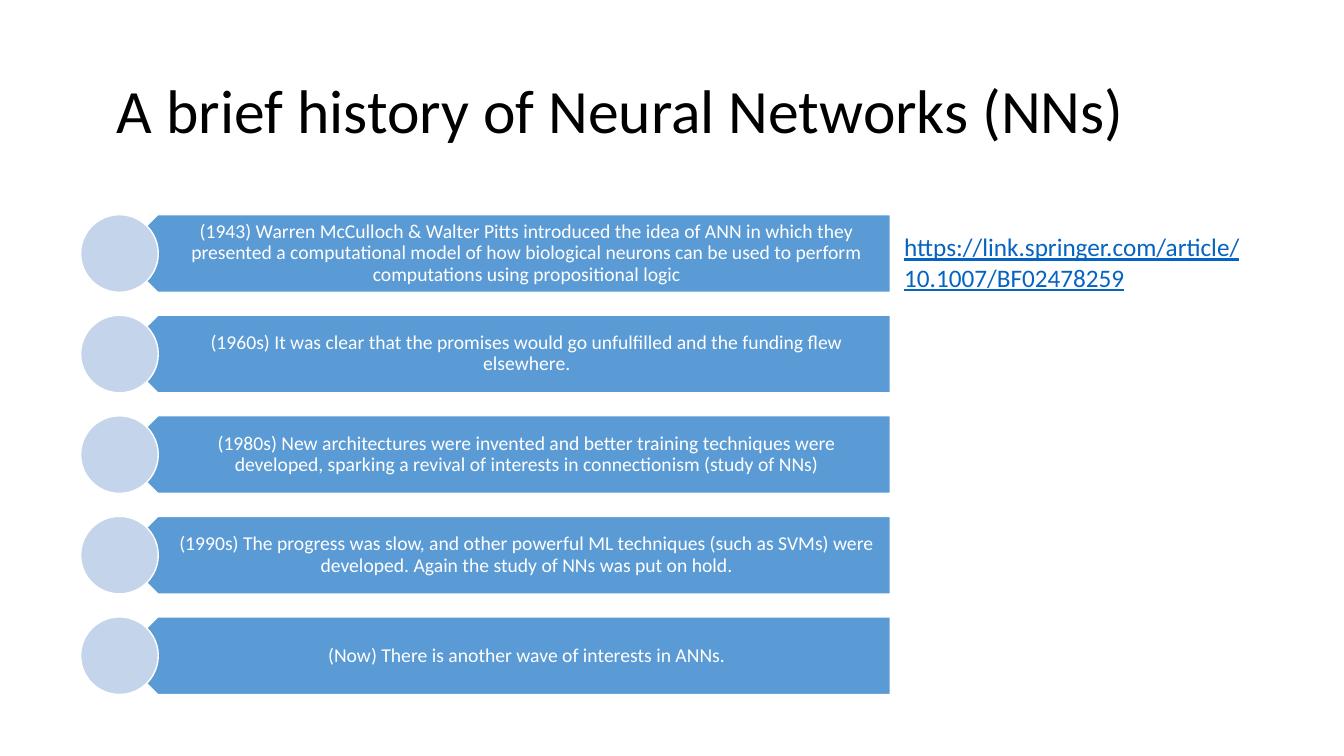
from pptx import Presentation
from pptx.dml.color import RGBColor
from pptx.enum.shapes import MSO_SHAPE
from pptx.enum.text import MSO_ANCHOR, PP_ALIGN
from pptx.util import Inches, Pt

COLORS = {
    "text": "000000",
    "link": "0563C1",
    "bar": "5B9BD5",
    "circle": "C4D5EB",
    "white": "FFFFFF",
}
FONT = "Calibri"

MILESTONES = [
    "(1943) Warren McCulloch & Walter Pitts introduced the idea of ANN in which they "
    "presented a computational model of how biological neurons can be used to perform "
    "computations using propositional logic",
    "(1960s) It was clear that the promises would go unfulfilled and the funding flew "
    "elsewhere.",
    "(1980s) New architectures were invented and better training techniques were "
    "developed, sparking a revival of interests in connectionism (study of NNs)",
    "(1990s) The progress was slow, and other powerful ML techniques (such as SVMs) "
    "were developed. Again the study of NNs was put on hold.",
    "(Now) There is another wave of interests in ANNs.",
]
FIRST_TOP = 2.13
ROW_PITCH = 0.9975
ROW_HEIGHT = 0.77


class SlideBuilder:
    def __init__(self, page):
        self.page = page
        self.shapes = page.shapes

    def start_group(self):
        """Send the following elements into a new group."""
        self.shapes = self.page.shapes.add_group_shape().shapes

    def end_group(self):
        self.shapes = self.page.shapes

    def shape(self, kind, left, top, width, height, color, rotation=0):
        shape = self.shapes.add_shape(
            kind, Inches(left), Inches(top), Inches(width), Inches(height))
        shape.shadow.inherit = False
        shape.rotation = rotation
        shape.fill.solid()
        shape.fill.fore_color.rgb = RGBColor.from_string(COLORS[color])
        shape.line.color.rgb = RGBColor.from_string(COLORS["white"])
        shape.line.width = Pt(1)

    def text(self, text, left, top, width, height, size, color,
             insets=(0.1, 0.05, 0.1, 0.05), anchor=MSO_ANCHOR.TOP,
             align=PP_ALIGN.LEFT, line_spacing=1.0, underline=False):
        box = self.shapes.add_textbox(
            Inches(left), Inches(top), Inches(width), Inches(height))
        frame = box.text_frame
        frame.word_wrap = True
        frame.vertical_anchor = anchor
        (frame.margin_left, frame.margin_top,
         frame.margin_right, frame.margin_bottom) = map(Inches, insets)
        frame.text = text
        para = frame.paragraphs[0]
        para.alignment = align
        para.line_spacing = line_spacing
        span = para.runs[0]
        span.font.name = FONT
        span.font.size = Pt(size)
        span.font.underline = underline
        span.font.color.rgb = RGBColor.from_string(COLORS[color])

    def milestone(self, text, top):
        self.shape(MSO_SHAPE.PENTAGON, 1.18, top, 7.65, ROW_HEIGHT, "bar", rotation=180)
        self.text(text, 1.38, top, 7.46, ROW_HEIGHT, 14, "white",
                  insets=(0.34, 0.06, 0.11, 0.06), anchor=MSO_ANCHOR.MIDDLE,
                  align=PP_ALIGN.CENTER, line_spacing=0.9)
        self.shape(MSO_SHAPE.OVAL, 0.8, top, ROW_HEIGHT, ROW_HEIGHT, "circle")


def main():
    deck = Presentation()
    deck.slide_width = Inches(13.33)
    deck.slide_height = Inches(7.5)
    builder = SlideBuilder(deck.slides.add_slide(deck.slide_layouts[6]))

    builder.text("A brief history of Neural Networks (NNs)", 0.92, 0.4, 11.5, 1.45,
                 44, "text", insets=(0.24, 0.05, 0.1, 0.05),
                 anchor=MSO_ANCHOR.MIDDLE, line_spacing=0.9)

    builder.start_group()
    for row, milestone in enumerate(MILESTONES):
        builder.milestone(milestone, FIRST_TOP + row * ROW_PITCH)
    builder.end_group()

    builder.text("https://link.springer.com/article/10.1007/BF02478259",
                 8.87, 2.25, 4.56, 0.71, 18, "link", underline=True)

    deck.save("out.pptx")


if __name__ == "__main__":
    main()
